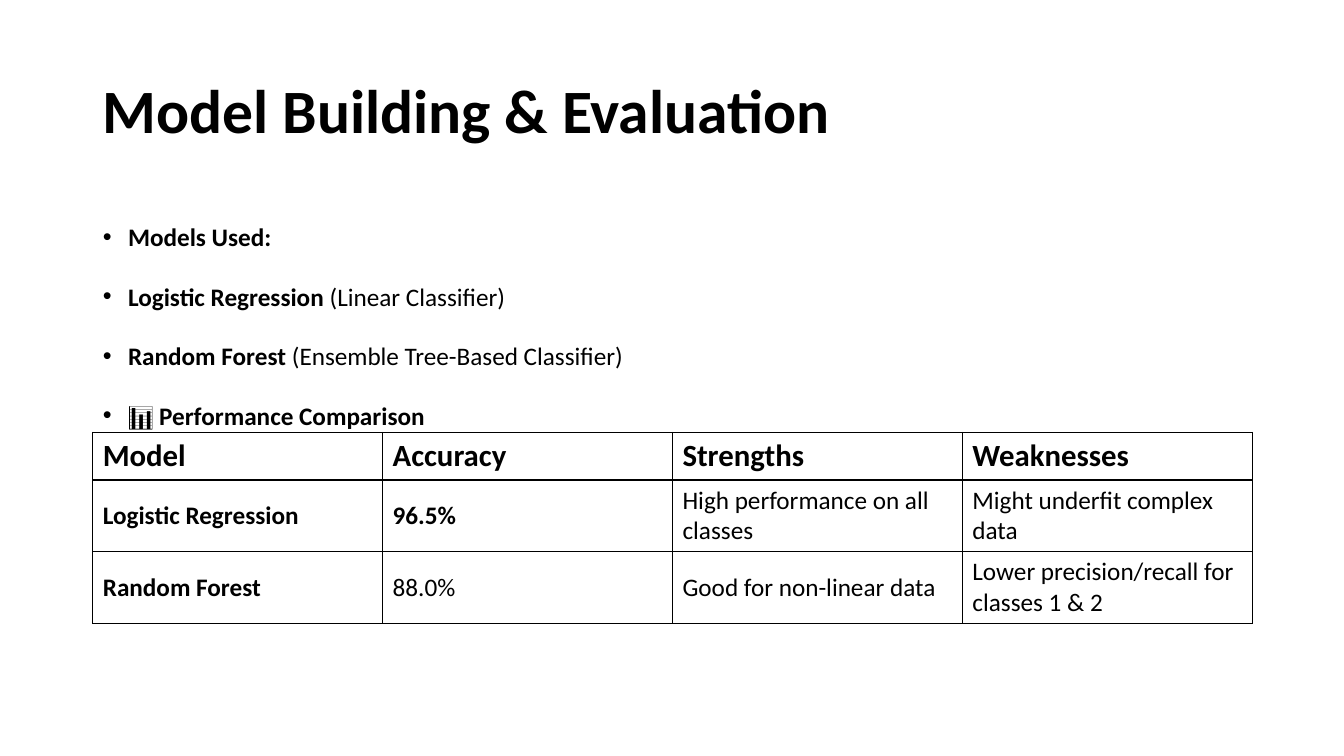
"""Build the slide on model building and its scores."""
import pptx
import pptx.dml.color
import pptx.enum.text
import pptx.oxml
import pptx.oxml.ns
import pptx.util

Inches = pptx.util.Inches
Pt = pptx.util.Pt
ANCHOR = pptx.enum.text.MSO_ANCHOR
BLACK = "000000"
LEFT, WIDTH = 0.92, 11.5
BEST = "96.5%"
POINTS = [
    [("Models Used:", True)],
    [("Logistic Regression", True), (" (Linear Classifier)", False)],
    [("Random Forest", True), (" (Ensemble Tree-Based Classifier)", False)],
    [("📊 Performance Comparison", True)],
]
ROWS = [
    ["Model", "Accuracy", "Strengths", "Weaknesses"],
    ["Logistic Regression", BEST, "High performance on all classes",
     "Might underfit complex data"],
    ["Random Forest", "88.0%", "Good for non-linear data",
     "Lower precision/recall for classes 1 & 2"],
]
HEIGHTS = [0.47, 0.71, 0.71]


def paint(target, color):
    target.rgb = pptx.dml.color.RGBColor.from_string(color)


def write(para, text, size=18, bold=False, color=BLACK, font="Calibri"):
    run = para.add_run()
    run.text = text
    run.font.name = font
    run.font.size = Pt(size)
    run.font.bold = bold
    paint(run.font.color, color)


def place(shape, top, height, anchor):
    shape.left, shape.top = Inches(LEFT), Inches(top)
    shape.width, shape.height = Inches(WIDTH), Inches(height)
    frame = shape.text_frame
    frame.word_wrap = True
    frame.auto_size = pptx.enum.text.MSO_AUTO_SIZE.NONE
    frame.vertical_anchor = anchor
    return frame


def add_title(slide, text):
    frame = place(slide.shapes.title, 0.4, 1.45, ANCHOR.MIDDLE)
    para = frame.paragraphs[0]
    para.alignment = pptx.enum.text.PP_ALIGN.LEFT
    para.line_spacing = 0.9
    write(para, text, size=44, bold=True)


def add_list(slide, points):
    frame = place(slide.placeholders[1], 2, 4.76, ANCHOR.TOP)
    for index, parts in enumerate(points):
        para = frame.add_paragraph() if index else frame.paragraphs[0]
        para.line_spacing = 1.5
        para.space_before = Pt(10)
        props = para._p.get_or_add_pPr()
        props.set("marL", str(Inches(0.25)))
        props.set("indent", str(Inches(-0.25)))
        for text, bold in parts:
            write(para, text, bold=bold)


def add_border(cell, color, points):
    props = cell._tc.get_or_add_tcPr()
    for side in ("lnL", "lnR", "lnT", "lnB"):
        props.append(pptx.oxml.parse_xml(
            f'<a:{side} {pptx.oxml.ns.nsdecls("a")} w="{Pt(points)}">'
            f'<a:solidFill><a:srgbClr val="{color}"/></a:solidFill>'
            f'</a:{side}>'))


def add_grid(slide, rows, heights):
    count = len(rows[0])
    frame = slide.shapes.add_table(
        len(rows), count, Inches(LEFT), Inches(4.29),
        Inches(WIDTH), Inches(sum(heights)))
    table = frame.table
    table.first_row = table.horz_banding = False
    for column in table.columns:
        column.width = Inches(WIDTH / count)
    for r, (texts, height) in enumerate(zip(rows, heights)):
        table.rows[r].height = Inches(height)
        for c, text in enumerate(texts):
            cell = table.cell(r, c)
            add_border(cell, BLACK, 1)
            cell.fill.background()
            cell.vertical_anchor = ANCHOR.MIDDLE
            write(cell.text_frame.paragraphs[0], text,
                  size=18 if r else 22,
                  bold=r == 0 or c == 0 or text == BEST)


def main():
    deck = pptx.Presentation()
    deck.slide_width, deck.slide_height = Inches(13.33), Inches(7.5)
    slide = deck.slides.add_slide(deck.slide_layouts[1])
    add_title(slide, "Model Building & Evaluation")
    add_list(slide, POINTS)
    add_grid(slide, ROWS, HEIGHTS)
    deck.save("out.pptx")


if __name__ == "__main__":
    main()
